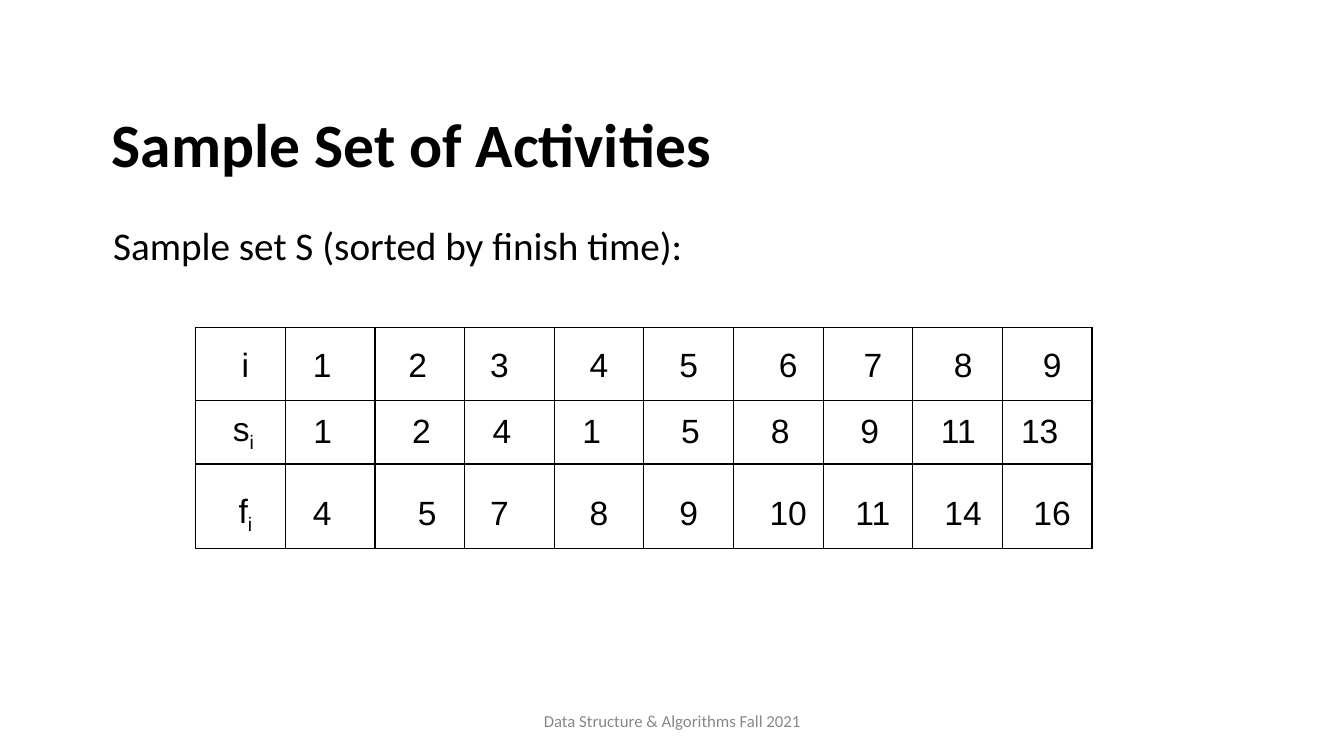
from lxml import etree
from pptx import Presentation
from pptx.dml.color import RGBColor
from pptx.enum.text import MSO_ANCHOR, PP_ALIGN
from pptx.oxml.ns import qn
from pptx.util import Cm, Pt

BLACK = RGBColor(0x00, 0x00, 0x00)
GRAY = RGBColor(0x88, 0x88, 0x88)
LEFT, CENTER = PP_ALIGN.LEFT, PP_ALIGN.CENTER
TOP, MIDDLE = MSO_ANCHOR.TOP, MSO_ANCHOR.MIDDLE


def add_span(para, text, color=BLACK, **font_values):
    span = para.add_run()
    span.text = text
    span.font.color.rgb = color
    for name, value in font_values.items():
        setattr(span.font, name, value)
    return span


def add_borders(cell):
    """Draw a thin black line on all four sides of a table cell."""
    properties = cell._tc.get_or_add_tcPr()
    for side in ("lnL", "lnR", "lnT", "lnB"):
        line = etree.SubElement(properties, qn(f"a:{side}"), w=str(Pt(1)))
        fill = etree.SubElement(line, qn("a:solidFill"))
        etree.SubElement(fill, qn("a:srgbClr"), val=str(BLACK))


deck = Presentation()
deck.slide_width, deck.slide_height = Cm(33.87), Cm(19.05)
page = deck.slides.add_slide(deck.slide_layouts[6])

# Title, lead-in and footer: text, place, insets, anchor, paragraph, font
texts = [
    ("Sample Set of Activities", (2.57, 1.88, 29.21, 3.68), (0.25, 0.13), MIDDLE,
     {"alignment": LEFT, "line_spacing": 0.9},
     {"size": Pt(44), "bold": True}),
    ("Sample set S (sorted by finish time):", (2.85, 5.56, 22.1, 1.24), (0, 0.02), TOP,
     {"alignment": LEFT},
     {"size": Pt(28)}),
    ("Data Structure & Algorithms Fall 2021", (11.23, 17.65, 11.43, 1.02), (0.25, 0.13), MIDDLE,
     {"alignment": CENTER},
     {"size": Pt(12), "color": GRAY}),
]
for text, place, (inset_x, inset_y), anchor, para_values, font_values in texts:
    box = page.shapes.add_textbox(*map(Cm, place))
    frame_values = {
        "word_wrap": True,
        "vertical_anchor": anchor,
        "margin_left": Cm(inset_x),
        "margin_right": Cm(inset_x),
        "margin_top": Cm(inset_y),
        "margin_bottom": Cm(inset_y),
    }
    for name, value in frame_values.items():
        setattr(box.text_frame, name, value)
    para = box.text_frame.paragraphs[0]
    for name, value in para_values.items():
        setattr(para, name, value)
    add_span(para, text, name="Calibri", **font_values)

# Activities: label, subscript, values, row height, top margin, alignment,
# and the left (positive) or right (negative) margin of each cell in cm
activity_rows = [
    ("i", "", [1, 2, 3, 4, 5, 6, 7, 8, 9], 1.83, 0.1, CENTER,
     [0.25, -0.4, -0.1, -0.5, 0, 0, 0.5, 0.25, 0.28, 0.25]),
    ("s", "i", [1, 2, 4, 1, 5, 8, 9, 11, 13], 1.6, 0, LEFT,
     [0.94, 0.71, 0.94, 0.71, 0.71, 0.94, 0.94, 0.94, 0.71, 0.47]),
    ("f", "i", [4, 5, 7, 8, 9, 10, 11, 14, 16], 2.13, 0.41, CENTER,
     [0.25, -0.4, 0.38, -0.5, 0, 0, 0.5, 0.25, 0.28, 0.25]),
]
COLUMN_COUNT = 10
COLUMN_WIDTH = 2.26

table = page.shapes.add_table(
    len(activity_rows), COLUMN_COUNT, Cm(4.93), Cm(8.26),
    Cm(COLUMN_COUNT * COLUMN_WIDTH), Cm(5.56)).table
table.first_row = table.horz_banding = False
for column in table.columns:
    column.width = Cm(COLUMN_WIDTH)

for row_index, activity_row in enumerate(activity_rows):
    label, subscript, values, height, margin_top, alignment, shifts = activity_row
    table.rows[row_index].height = Cm(height)
    for column_index, (content, shift) in enumerate(zip([label, *values], shifts)):
        cell = table.cell(row_index, column_index)
        add_borders(cell)
        cell.fill.background()
        cell_values = {
            "vertical_anchor": MIDDLE,
            "margin_left": Cm(max(shift, 0)),
            "margin_right": Cm(max(-shift, 0)),
            "margin_top": Cm(margin_top),
            "margin_bottom": Cm(0),
        }
        for name, value in cell_values.items():
            setattr(cell, name, value)
        para = cell.text_frame.paragraphs[0]
        para.alignment = alignment
        add_span(para, str(content), name="Arial", size=Pt(24))
        if column_index == 0 and subscript:
            span = add_span(para, subscript, name="Arial", size=Pt(24))
            span._r.get_or_add_rPr().set("baseline", "-25000")

deck.save("out.pptx")
